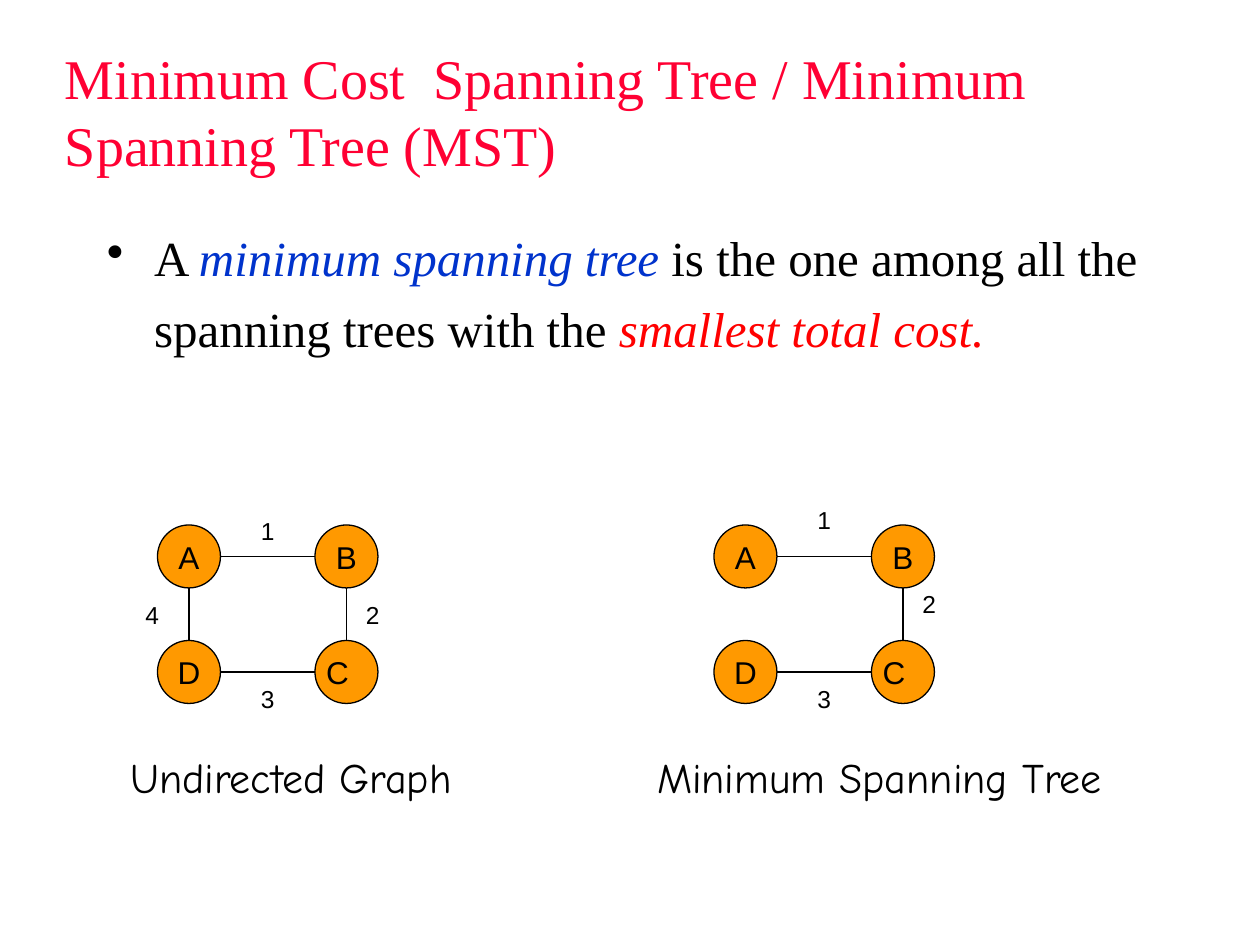
from dataclasses import dataclass

from lxml import etree
from pptx import Presentation
from pptx.dml.color import RGBColor
from pptx.enum.shapes import MSO_CONNECTOR, MSO_SHAPE
from pptx.enum.text import MSO_ANCHOR, PP_ALIGN
from pptx.oxml.ns import qn
from pptx.util import Pt

ELLIPSE, RECTANGLE = MSO_SHAPE.OVAL, MSO_SHAPE.RECTANGLE
STRAIGHT = MSO_CONNECTOR.STRAIGHT
MIDDLE, TOP = MSO_ANCHOR.MIDDLE, MSO_ANCHOR.TOP
CENTER = PP_ALIGN.CENTER

PX = 7620  # 120 px to the inch
SERIF, SANS, COMIC = "Times New Roman", "Arial", "Comic Neue"
BLACK, WHITE, ORANGE = "000000", "FFFFFF", "FF9900"
CRIMSON, BLUE, RED = "FF0033", "0033CC", "FF0000"

NODE, LABEL = 60, 30
COLUMN_STEP, ROW_STEP = 150, 110
GRAPH_TOP = 500
GRID = {"A": (0, 0), "D": (0, 1), "C": (1, 1), "B": (1, 0)}
C_SHIFT = 17  # right inset that moves the letter C off centre


@dataclass(frozen=True)
class Edge:
    start: str
    end: str
    cost: int
    label_x: int  # label corner, measured from the graph corner
    label_y: int


@dataclass(frozen=True)
class Graph:
    left: int
    edges: tuple[Edge, ...]
    caption: str
    caption_left: int
    caption_width: int


@dataclass(frozen=True)
class Phrase:
    text: str
    color: str = BLACK
    italic: bool = False


BOTTOM_EDGE = Edge("D", "C", 3, 90, 150)
GRAPHS = (
    Graph(150, (Edge("A", "D", 4, -20, 70), Edge("A", "B", 1, 90, -10),
                BOTTOM_EDGE, Edge("B", "C", 2, 190, 70)),
          "Undirected Graph", 112, 378),
    Graph(680, (Edge("A", "B", 1, 90, -20), BOTTOM_EDGE,
                Edge("B", "C", 2, 190, 60)),
          "Minimum Spanning Tree", 614, 466),
)
DEFINITION = (
    Phrase("A "),
    Phrase("minimum spanning tree", BLUE, True),
    Phrase(" is the one among all the spanning trees with the "),
    Phrase("smallest total cost.", RED, True),
)


def rgb(color: str) -> RGBColor:
    return RGBColor.from_string(color)


def style_run(run, font: str, size: int, color: str, italic: bool = False) -> None:
    run.font.name, run.font.size = font, Pt(size)
    run.font.color.rgb = rgb(color)
    run.font.italic = italic


def add_text(slide, left: int, top: int, width: int, height: int,
             phrases: tuple[Phrase, ...], font: str, size: int, anchor=TOP):
    box = slide.shapes.add_textbox(left * PX, top * PX, width * PX, height * PX)
    frame = box.text_frame
    frame.word_wrap = True
    frame.vertical_anchor = anchor
    paragraph = frame.paragraphs[0]
    for phrase in phrases:
        run = paragraph.add_run()
        run.text = phrase.text
        style_run(run, font, size, phrase.color, phrase.italic)
    return paragraph


def add_bullet(paragraph, indent: int) -> None:
    properties = paragraph._p.get_or_add_pPr()
    properties.set("marL", str(indent * PX))
    properties.set("indent", str(-indent * PX))
    color = etree.SubElement(properties, qn("a:buClr"))
    etree.SubElement(color, qn("a:srgbClr"), val=BLACK)
    etree.SubElement(properties, qn("a:buChar"), char="•")


def add_mark(slide, kind, left: int, top: int, side: int, text: str, size: int,
             fill: str, line: str, right_inset: int = 0) -> None:
    mark = slide.shapes.add_shape(kind, left * PX, top * PX, side * PX, side * PX)
    mark.shadow.inherit = False
    mark.fill.solid()
    mark.fill.fore_color.rgb = rgb(fill)
    mark.line.color.rgb = rgb(line)
    mark.line.width = Pt(0.75)
    frame = mark.text_frame
    frame.word_wrap = False
    frame.vertical_anchor = MIDDLE
    frame.margin_left = frame.margin_top = frame.margin_bottom = 0
    frame.margin_right = right_inset * PX
    frame.text = text
    frame.paragraphs[0].alignment = CENTER
    style_run(frame.paragraphs[0].runs[0], SANS, size, BLACK)


def node_corner(graph: Graph, name: str) -> tuple[int, int]:
    column, row = GRID[name]
    return graph.left + column * COLUMN_STEP, GRAPH_TOP + row * ROW_STEP


def add_edge(slide, graph: Graph, edge: Edge) -> None:
    """Join the facing rims of two nodes in one row or one column."""
    radius = NODE // 2
    x1, y1 = (value + radius for value in node_corner(graph, edge.start))
    x2, y2 = (value + radius for value in node_corner(graph, edge.end))
    if y1 == y2:
        x1, x2 = x1 + radius, x2 - radius
    else:
        y1, y2 = y1 + radius, y2 - radius
    connector = slide.shapes.add_connector(STRAIGHT, x1 * PX, y1 * PX, x2 * PX, y2 * PX)
    connector.line.color.rgb = rgb(BLACK)
    connector.line.width = Pt(0.75)
    etree.SubElement(connector._element.spPr, qn("a:effectLst"))


def add_graph(slide, graph: Graph) -> None:
    for name in GRID:
        add_mark(slide, ELLIPSE, *node_corner(graph, name), NODE, name, 18,
                 ORANGE, BLACK, C_SHIFT if name == "C" else 0)
    for edge in graph.edges:
        add_edge(slide, graph, edge)
    for edge in graph.edges:
        add_mark(slide, RECTANGLE, graph.left + edge.label_x, GRAPH_TOP + edge.label_y,
                 LABEL, str(edge.cost), 14, WHITE, WHITE)
    add_text(slide, graph.caption_left, 710, graph.caption_width, 60,
             (Phrase(graph.caption),), COMIC, 24)


def main() -> None:
    presentation = Presentation()
    presentation.slide_width, presentation.slide_height = 1200 * PX, 900 * PX
    slide = presentation.slides.add_slide(presentation.slide_layouts[6])

    # Title
    title = "Minimum Cost  Spanning Tree / Minimum Spanning Tree (MST)"
    add_text(slide, 50, 30, 1110, 150, (Phrase(title, CRIMSON),), SERIF, 32, MIDDLE)

    # Definition
    definition = add_text(slide, 90, 200, 1020, 160, DEFINITION, SERIF, 28)
    add_bullet(definition, 45)
    definition.line_spacing = 1.2

    # Graph and its spanning tree
    for graph in GRAPHS:
        add_graph(slide, graph)

    presentation.save("out.pptx")


if __name__ == "__main__":
    main()
